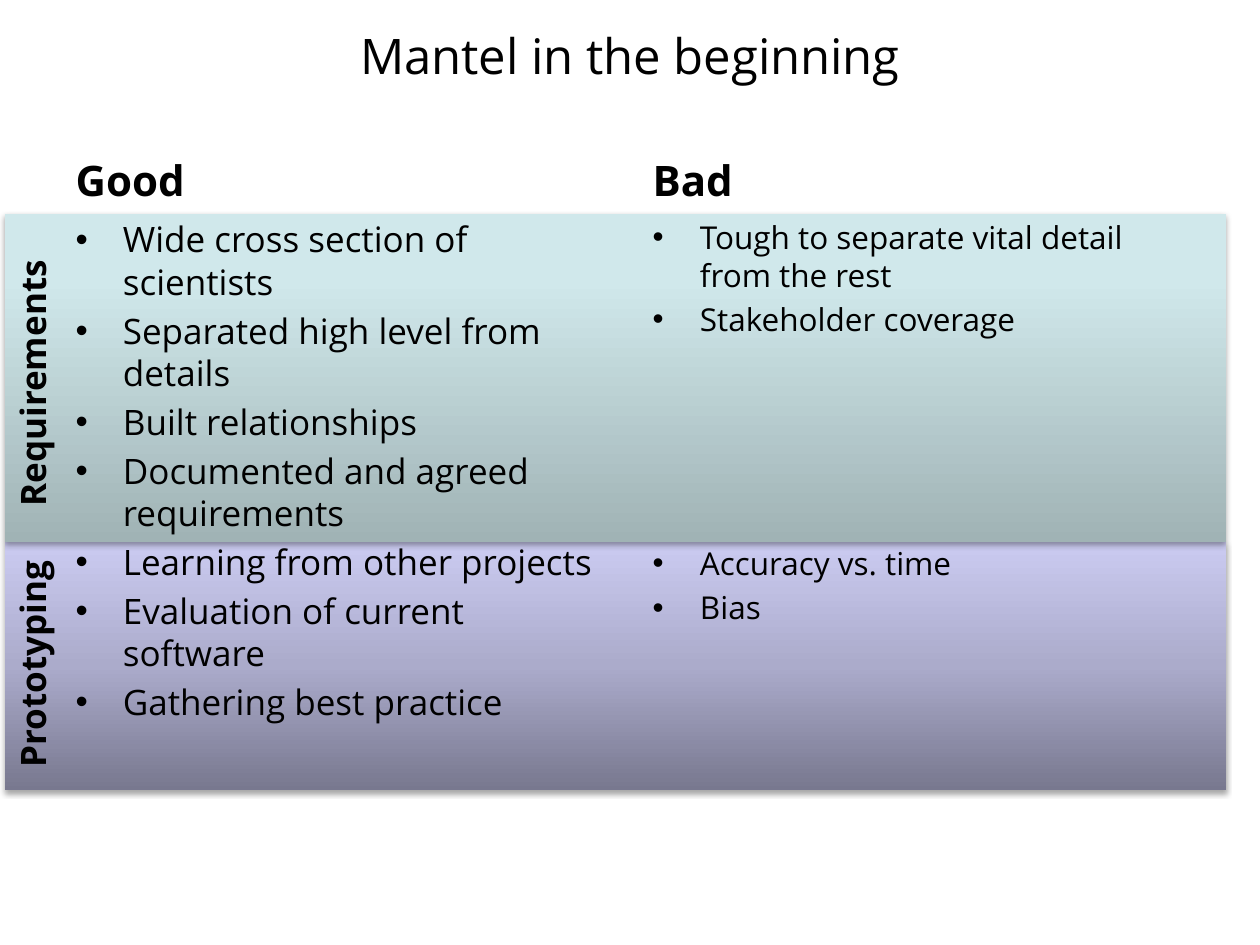
from dataclasses import dataclass

from lxml import etree
from pptx import Presentation
from pptx.dml.color import RGBColor
from pptx.enum.shapes import MSO_SHAPE
from pptx.enum.text import MSO_ANCHOR, MSO_AUTO_SIZE, PP_ALIGN
from pptx.oxml import parse_xml
from pptx.oxml.ns import nsdecls, qn
from pptx.util import Inches, Pt

RECT = MSO_SHAPE.RECTANGLE
TOP, MIDDLE, BOTTOM = MSO_ANCHOR.TOP, MSO_ANCHOR.MIDDLE, MSO_ANCHOR.BOTTOM
CENTER, LEFT = PP_ALIGN.CENTER, PP_ALIGN.LEFT
NO_FIT = MSO_AUTO_SIZE.NONE
COMPARISON = 4


@dataclass(frozen=True)
class Theme:
    font: str = "Open Sans"
    text: str = "000000"
    shadow: str = "000000"
    title: int = 28
    heading: int = 24
    label: int = 20
    good: int = 20
    bad: int = 18
    teal: tuple = ((0, "A0B3B5"), (80, "D0E8EB"), (100, "D1EAEC"))
    violet: tuple = ((0, "78788F"), (50, "ABABCB"), (100, "CBCBF1"))


THEME = Theme()

# Phase name, band top and height, label top and height, gradient
PHASES = [
    ("Prototyping", 4.3, 1.97, 4.32, 1.87, THEME.violet),
    ("Requirements", 1.7, 2.6, 1.94, 2.18, THEME.teal),
]
BAND_LEFT, BAND_WIDTH, LABEL_WIDTH = 0.04, 9.69, 0.54

# Heading, left edge, text size, bullets with extra space before (points)
COLUMNS = [
    ("Good", 0.5, THEME.good, [
        ("Wide cross section of scientists", None),
        ("Separated high level from details", None),
        ("Built relationships", None),
        ("Documented and agreed requirements", None),
        ("Learning from other projects", None),
        ("Evaluation of current software", None),
        ("Gathering best practice", None),
    ]),
    ("Bad", 5.08, THEME.bad, [
        ("Tough to separate vital detail from the rest", None),
        ("Stakeholder coverage", None),
        ("Accuracy vs. time", 118),
        ("Bias", None),
    ]),
]
COLUMN_WIDTH = 4.42


def set_all(obj, values):
    for name, value in values.items():
        setattr(obj, name, value)


def place(s, left, top, width, height):
    set_all(s, {"left": Inches(left), "top": Inches(top),
                "width": Inches(width), "height": Inches(height)})


def add_run(p, text, size, bold=False):
    r = p.add_run()
    r.text = text
    set_all(r.font, {"name": THEME.font, "size": Pt(size), "bold": bold})
    r.font.color.rgb = RGBColor.from_string(THEME.text)


def setup_frame(s, anchor):
    tf = s.text_frame
    set_all(tf, {"word_wrap": True, "auto_size": NO_FIT, "vertical_anchor": anchor})
    return tf


def add_heading(s, text, size, box, anchor, align, bold):
    place(s, *box)
    p = setup_frame(s, anchor).paragraphs[0]
    p.alignment = align
    add_run(p, text, size, bold)


def add_bullets(s, items, size, box):
    place(s, *box)
    tf = setup_frame(s, TOP)
    for i, (text, gap) in enumerate(items):
        p = tf.paragraphs[0] if i == 0 else tf.add_paragraph()
        p.space_before = Pt(gap or size * 0.2)
        pPr = p._p.get_or_add_pPr()
        pPr.set("marL", str(Inches(0.375)))
        pPr.set("indent", str(Inches(-0.375)))
        etree.SubElement(pPr, qn("a:buChar")).set("char", "•")
        add_run(p, text, size)


def add_band(slide, top, height, stops):
    s = slide.shapes.add_shape(RECT, Inches(BAND_LEFT), Inches(top),
                               Inches(BAND_WIDTH), Inches(height))
    s.line.fill.background()
    # Three-stop gradient running upwards, with a soft shadow below
    gs = "".join(f'<a:gs pos="{pos * 1000}"><a:srgbClr val="{color}"/></a:gs>'
                 for pos, color in stops)
    grad = parse_xml(f'<a:gradFill {nsdecls("a")} rotWithShape="1"><a:gsLst>{gs}</a:gsLst>'
                     '<a:lin ang="16200000" scaled="0"/></a:gradFill>')
    effects = parse_xml(
        f'<a:effectLst {nsdecls("a")}><a:outerShdw blurRad="{Pt(3.1)}" dist="{Pt(1.8)}" '
        f'dir="5400000" rotWithShape="0"><a:srgbClr val="{THEME.shadow}">'
        '<a:alpha val="35000"/></a:srgbClr></a:outerShdw></a:effectLst>')
    spPr = s._element.spPr
    spPr.find(qn("a:prstGeom")).addnext(grad)
    spPr.find(qn("a:ln")).addnext(effects)
    return s


def add_label(slide, text, top, height):
    s = slide.shapes.add_textbox(Inches(BAND_LEFT), Inches(top),
                                 Inches(LABEL_WIDTH), Inches(height))
    tf = setup_frame(s, TOP)
    tf._txBody.bodyPr.set("vert", "vert270")
    add_run(tf.paragraphs[0], text, THEME.label, True)


def main():
    prs = Presentation()
    prs.slide_width, prs.slide_height = Inches(10), Inches(7.5)
    slide = prs.slides.add_slide(prs.slide_layouts[COMPARISON])
    title, *bodies = slide.placeholders

    # Phase bands, behind the text
    for i, (_, top, height, _, _, stops) in enumerate(PHASES):
        band = add_band(slide, top, height, stops)
        slide.shapes._spTree.insert(2 + i, band._element)

    # Title
    add_heading(title, "Mantel in the beginning", THEME.title,
                (0.5, -0.19, 9, 1.25), MIDDLE, CENTER, False)

    # Good and bad columns
    for (name, left, size, items), heading, body in zip(COLUMNS, bodies[::2], bodies[1::2]):
        add_heading(heading, name, THEME.heading,
                    (left, 0.98, COLUMN_WIDTH, 0.7), BOTTOM, LEFT, True)
        add_bullets(body, items, size, (left, 1.68, COLUMN_WIDTH, 4.32))

    # Phase labels
    for name, _, _, top, height, _ in reversed(PHASES):
        add_label(slide, name, top, height)

    prs.save("out.pptx")


if __name__ == "__main__":
    main()
